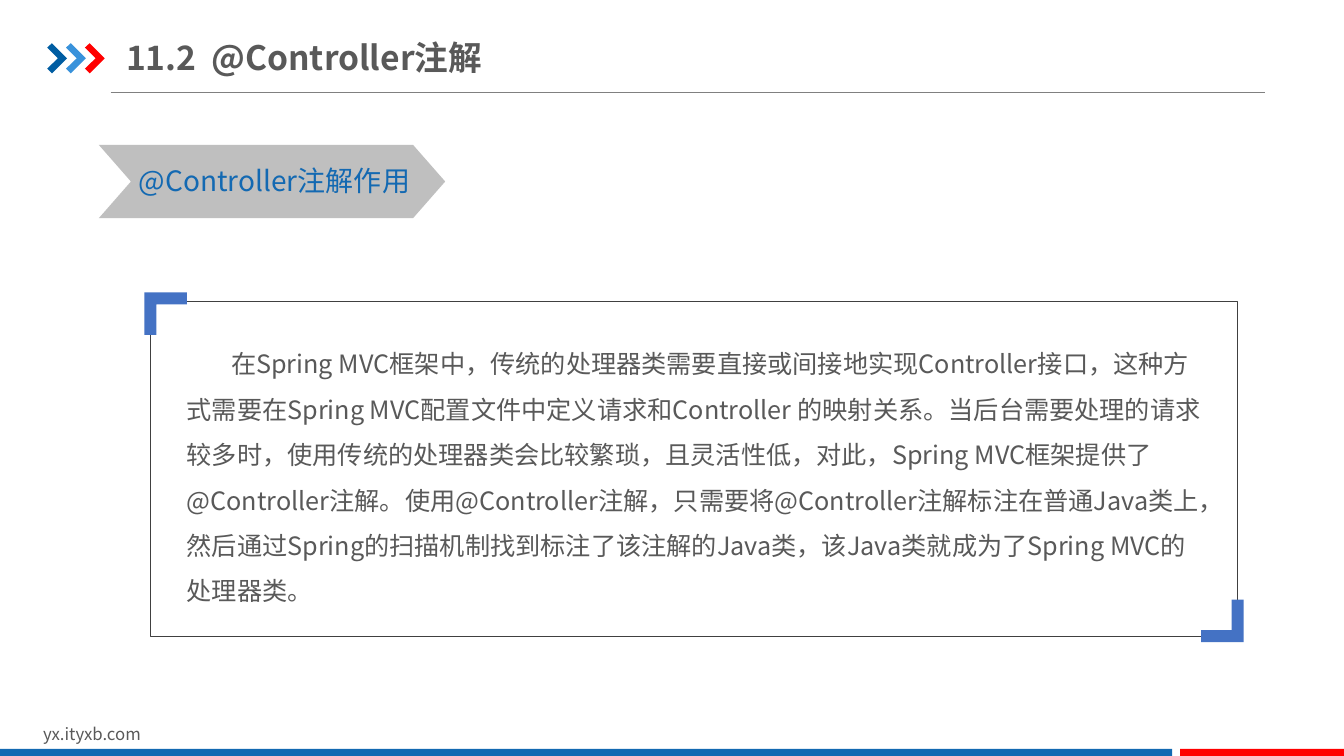
from dataclasses import dataclass

from lxml import etree
from pptx import Presentation, util as u
from pptx.dml.color import RGBColor
from pptx.enum import shapes, text
from pptx.oxml.ns import qn

FONT = "Noto Sans CJK SC"
GREY, BLUE, RED, ACCENT = "595959", "1369B2", "FF0000", "4472C4"
ARROW = [(0, 0.11), (0.12, 0), (0.5, 0.38), (0.12, 0.76), (0, 0.64), (0.27, 0.38)]
CORNER = [(0, 0), (1.07, 0), (1.07, 0.3), (0.3, 0.3), (0.3, 1.07), (0, 1.07)]
BODY = (
    "在Spring MVC框架中，传统的处理器类需要直接或间接地实现Controller接口，"
    "这种方式需要在Spring MVC配置文件中定义请求和Controller 的映射关系。"
    "当后台需要处理的请求较多时，使用传统的处理器类会比较繁琐，且灵活性低，对此，"
    "Spring MVC框架提供了@Controller注解。使用@Controller注解，"
    "只需要将@Controller注解标注在普通Java类上，"
    "然后通过Spring的扫描机制找到标注了该注解的Java类，"
    "该Java类就成为了Spring MVC的处理器类。"
)


@dataclass
class Area:
    left: float
    top: float
    width: float
    height: float

    def lengths(self):
        return [u.Cm(v) for v in (self.left, self.top, self.width, self.height)]


@dataclass
class Outline:
    left: float
    top: float
    points: list
    color: str
    rotation: float = 0


@dataclass
class Block:
    area: Area
    kind: shapes.MSO_SHAPE
    fill: str | None = None
    line: str | None = None
    adjustment: float | None = None


def rgb(value: str) -> RGBColor:
    return RGBColor.from_string(value)


def paint(shape, fill: str | None, line: str | None = None) -> None:
    shape.shadow.inherit = False
    if fill:
        shape.fill.solid()
        shape.fill.fore_color.rgb = rgb(fill)
    else:
        shape.fill.background()
    if line:
        shape.line.color.rgb = rgb(line)
        shape.line.width = u.Pt(0.25)
    else:
        shape.line.fill.background()


def draw_outline(slide, item: Outline) -> None:
    points = [(u.Cm(item.left + x), u.Cm(item.top + y)) for x, y in item.points]
    builder = slide.shapes.build_freeform(*points[0])
    builder.add_line_segments(points[1:], close=True)
    shape = builder.convert_to_shape()
    shape.rotation = item.rotation
    paint(shape, item.color)


def draw_block(slide, block: Block) -> None:
    shape = slide.shapes.add_shape(block.kind, *block.area.lengths())
    if block.adjustment is not None:
        shape.adjustments[0] = block.adjustment
    paint(shape, block.fill, block.line)


def draw_rule(slide) -> None:
    rule = slide.shapes.add_connector(
        shapes.MSO_CONNECTOR.STRAIGHT, u.Cm(2.79), u.Cm(2.32), u.Cm(31.88), u.Cm(2.32)
    )
    rule.line.color.rgb = rgb("808080")
    rule.line.width = u.Pt(0.5)
    etree.SubElement(rule.element.spPr, qn("a:effectLst"))


def write(box, area: Area, words: str, size: int, color: str,
          bold: bool = False, wrap: bool = True):
    box.left, box.top, box.width, box.height = area.lengths()
    frame = box.text_frame
    frame.text = words
    frame.word_wrap = wrap
    frame.auto_size = text.MSO_AUTO_SIZE.NONE
    para = frame.paragraphs[0]
    para.alignment = text.PP_ALIGN.LEFT
    for span in para.runs:
        span.font.size = u.Pt(size)
        span.font.bold = bold
        span.font.color.rgb = rgb(color)
        span.font.name = FONT
        etree.SubElement(span.font._element, qn("a:ea"), typeface=FONT)
    return para


def fill_title(slide) -> None:
    title = slide.shapes.title
    para = write(title, Area(3.18, 0.74, 10.72, 1.4), "11.2\t@Controller注解", 24, GREY, bold=True)
    frame = title.text_frame
    frame.margin_left = frame.margin_right = 0
    frame.vertical_anchor = text.MSO_ANCHOR.MIDDLE
    tabs = etree.SubElement(para._p.get_or_add_pPr(), qn("a:tabLst"))
    etree.SubElement(tabs, qn("a:tab"), pos=str(u.Cm(2.15)), algn="l")


def fill_body(slide) -> None:
    body = slide.placeholders[1]
    para = write(body, Area(4.45, 8.28, 26.09, 7.09), BODY, 18, GREY)
    body.text_frame.vertical_anchor = text.MSO_ANCHOR.TOP
    properties = para._p.get_or_add_pPr()
    properties.set("marL", "0")
    properties.set("indent", str(u.Cm(1.12)))
    etree.SubElement(properties, qn("a:buNone"))
    para.line_spacing = 1.5
    para.space_before = u.Pt(0)


def add_label(slide, area: Area, words: str, size: int, color: str, wrap: bool) -> None:
    write(slide.shapes.add_textbox(*area.lengths()), area, words, size, color, wrap=wrap)


def main() -> None:
    deck = Presentation()
    deck.slide_width, deck.slide_height = u.Cm(33.87), u.Cm(19.05)
    page = deck.slides.add_slide(deck.slide_layouts[1])

    draw_rule(page)
    for index, color in enumerate(("005DA2", "3992DB", RED)):
        draw_outline(page, Outline(1.19 + 0.475 * index, 1.09, ARROW, color))

    kinds = shapes.MSO_SHAPE
    for block in (
        Block(Area(0, 18.87, 29.54, 0.23), kinds.RECTANGLE, BLUE),
        Block(Area(29.74, 18.87, 4.13, 0.23), kinds.RECTANGLE, RED),
        Block(Area(2.49, 3.65, 8.73, 1.85), kinds.CHEVRON, "BFBFBF", adjustment=0.438),
        Block(Area(3.79, 7.59, 27.4, 8.44), kinds.ROUNDED_RECTANGLE, line="404040", adjustment=0),
    ):
        draw_block(page, block)

    draw_outline(page, Outline(3.64, 7.37, CORNER, ACCENT))
    draw_outline(page, Outline(30.27, 15.11, CORNER, ACCENT, rotation=180))

    add_label(page, Area(0.84, 18.12, 8.08, 0.77), "yx.ityxb.com", 12, GREY, True)
    add_label(page, Area(3.25, 3.99, 7.67, 1.11), "@Controller注解作用", 20, BLUE, False)
    fill_title(page)
    fill_body(page)

    deck.save("out.pptx")


if __name__ == "__main__":
    main()
